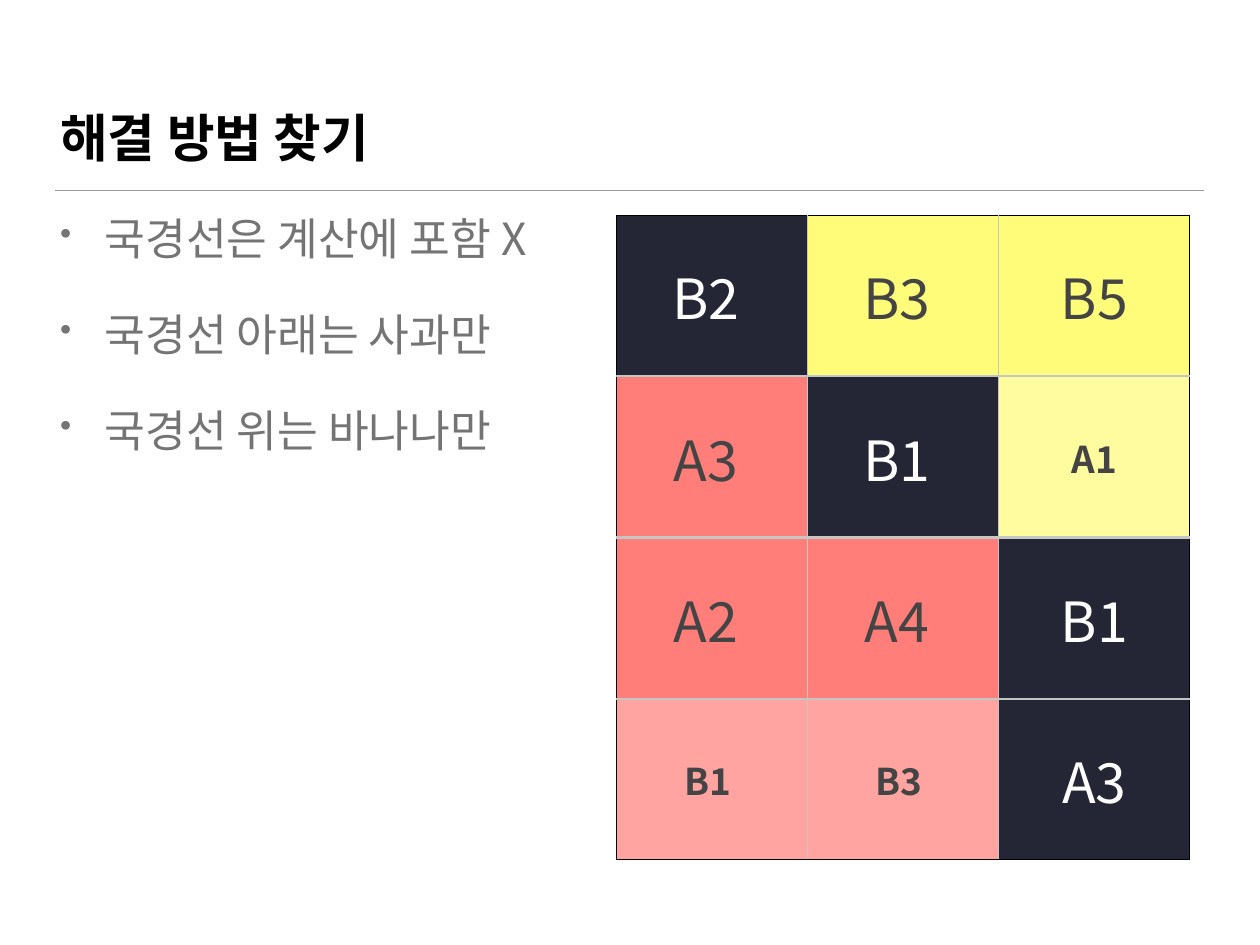
from lxml.etree import SubElement
from pptx import Presentation
from pptx.dml.color import RGBColor
from pptx.enum.text import MSO_ANCHOR, MSO_AUTO_SIZE, PP_ALIGN
from pptx.oxml.ns import qn
from pptx.util import Inches, Pt

FONT = "Noto Sans CJK KR"
COLORS = {
    "title": "000000", "body": "747474", "rule": "9A9A9A",
    "frame": "000000", "grid": "C4C6C6",
    "border": "242635", "banana": "FFFC79", "apple": "FF7E79",
    "light": "FFFFFF", "dark": "444444",
}
WIDTH, HEIGHT = 14.22, 10.67
MARGIN, CONTENT_WIDTH, CONTENT_TOP = 0.62, 12.97, 2.43
INSET = Inches(0.06)
INSETS = {f"margin_{side}": INSET for side in ("left", "top", "right", "bottom")}
TITLE_FRAME = INSETS | {"margin_bottom": 0, "vertical_anchor": MSO_ANCHOR.BOTTOM,
                        "word_wrap": True, "auto_size": MSO_AUTO_SIZE.NONE}
BODY_FRAME = INSETS | {"vertical_anchor": MSO_ANCHOR.TOP, "word_wrap": True}
CELL_FRAME = INSETS | {"vertical_anchor": MSO_ANCHOR.MIDDLE}
BULLET_FORMAT = {"space_before": Pt(42), "line_spacing": 0.83, "alignment": PP_ALIGN.LEFT}

RULES = ["국경선은 계산에 포함 X", "국경선 아래는 사과만", "국경선 위는 바나나만"]
LAND = [
    [("B2 ", "border"), ("B3 ", "banana"), ("B5", "banana")],
    [("A3 ", "apple"), ("B1 ", "border"), ("A1", "banana")],
    [("A2 ", "apple"), ("A4 ", "apple"), ("B1", "border")],
    [("B1 ", "apple"), ("B3 ", "apple"), ("A3", "border")],
]
GUESSES = {(1, 2), (3, 0), (3, 1)}


def apply(target, values):
    """Set each named attribute on the target."""
    for name, value in values.items():
        setattr(target, name, value)


def write(paragraph, text, size, color, bold=False):
    """Add a run in the slide font, for Latin and Korean alike."""
    run = paragraph.add_run()
    run.text = text
    apply(run.font, {"size": Pt(size), "bold": bold, "name": FONT})
    run.font.color.rgb = RGBColor.from_string(COLORS[color])
    SubElement(run.font._element, qn("a:ea"), typeface=FONT)


def add_heading(slide, left, top, width, height):
    """Place the title and the thin rule beneath it."""
    title = slide.shapes.title
    apply(title, {"left": Inches(left), "top": Inches(top),
                  "width": Inches(width), "height": Inches(height)})
    apply(title.text_frame, TITLE_FRAME)
    paragraph = title.text_frame.paragraphs[0]
    paragraph.alignment = PP_ALIGN.LEFT
    write(paragraph, "해결 방법 찾기", 42, "title", True)
    rule_y = Inches(top + height + 0.26)
    rule = slide.shapes.add_connector(1, Inches(left), rule_y, Inches(left + width), rule_y)
    rule.line.color.rgb = RGBColor.from_string(COLORS["rule"])
    rule.line.width = Pt(1)
    SubElement(rule._element.spPr, qn("a:effectLst"))


def add_rules(slide, left, top, width, height):
    """Place the bulleted rules."""
    box = slide.shapes.add_textbox(*map(Inches, (left, top, width, height)))
    apply(box.text_frame, BODY_FRAME)
    for index, text in enumerate(RULES):
        paragraph = box.text_frame.add_paragraph() if index else box.text_frame.paragraphs[0]
        apply(paragraph, BULLET_FORMAT)
        properties = paragraph._p.get_or_add_pPr()
        properties.set("marL", str(Inches(0.5)))
        properties.set("indent", str(-Inches(0.5)))
        SubElement(properties, qn("a:buSzPct"), val="75000")
        SubElement(properties, qn("a:buChar"), char="•")
        write(paragraph, text, 36, "body")


def draw_border(cell, tag, color, points):
    """Draw one side of a table cell."""
    line = SubElement(cell._tc.get_or_add_tcPr(), qn(f"a:{tag}"), w=str(Pt(points)))
    fill = SubElement(line, qn("a:solidFill"))
    SubElement(fill, qn("a:srgbClr"), val=COLORS[color])


def add_land(slide, left, top, width, height):
    """Place the grid of land cells, framed in black."""
    rows, columns = len(LAND), len(LAND[0])
    table = slide.shapes.add_table(rows, columns, *map(Inches, (left, top, width, height))).table
    apply(table, {"first_row": False, "horz_banding": False})
    for row in table.rows:
        row.height = Inches(height / rows)
    for column in table.columns:
        column.width = Inches(width / columns)
    for r, line in enumerate(LAND):
        for c, (label, kind) in enumerate(line):
            cell = table.cell(r, c)
            guess = (r, c) in GUESSES
            apply(cell, CELL_FRAME)
            sides = {"lnL": (c == 0, 1), "lnR": (c == columns - 1, 1),
                     "lnT": (r == 0, 2), "lnB": (r == rows - 1, 2)}
            for tag, (outer, inner_width) in sides.items():
                draw_border(cell, tag, *(("frame", 1) if outer else ("grid", inner_width)))
            cell.fill.solid()
            cell.fill.fore_color.rgb = RGBColor.from_string(COLORS[kind])
            if guess:
                shade = cell._tc.tcPr.find(qn("a:solidFill")).find(qn("a:srgbClr"))
                SubElement(shade, qn("a:alpha"), val="70000")
            paragraph = cell.text_frame.paragraphs[0]
            paragraph.alignment = PP_ALIGN.CENTER
            write(paragraph, label, 30 if guess else 45,
                  "light" if kind == "border" else "dark", guess)


def main():
    """Build the slide and save it."""
    deck = Presentation()
    apply(deck, {"slide_width": Inches(WIDTH), "slide_height": Inches(HEIGHT)})
    slide = deck.slides.add_slide(deck.slide_layouts[5])
    add_heading(slide, MARGIN, 0.36, CONTENT_WIDTH, 1.53)
    add_rules(slide, MARGIN, CONTENT_TOP, CONTENT_WIDTH, 7.29)
    add_land(slide, 6.96, CONTENT_TOP, 6.47, 7.28)
    deck.save("out.pptx")


if __name__ == "__main__":
    main()
